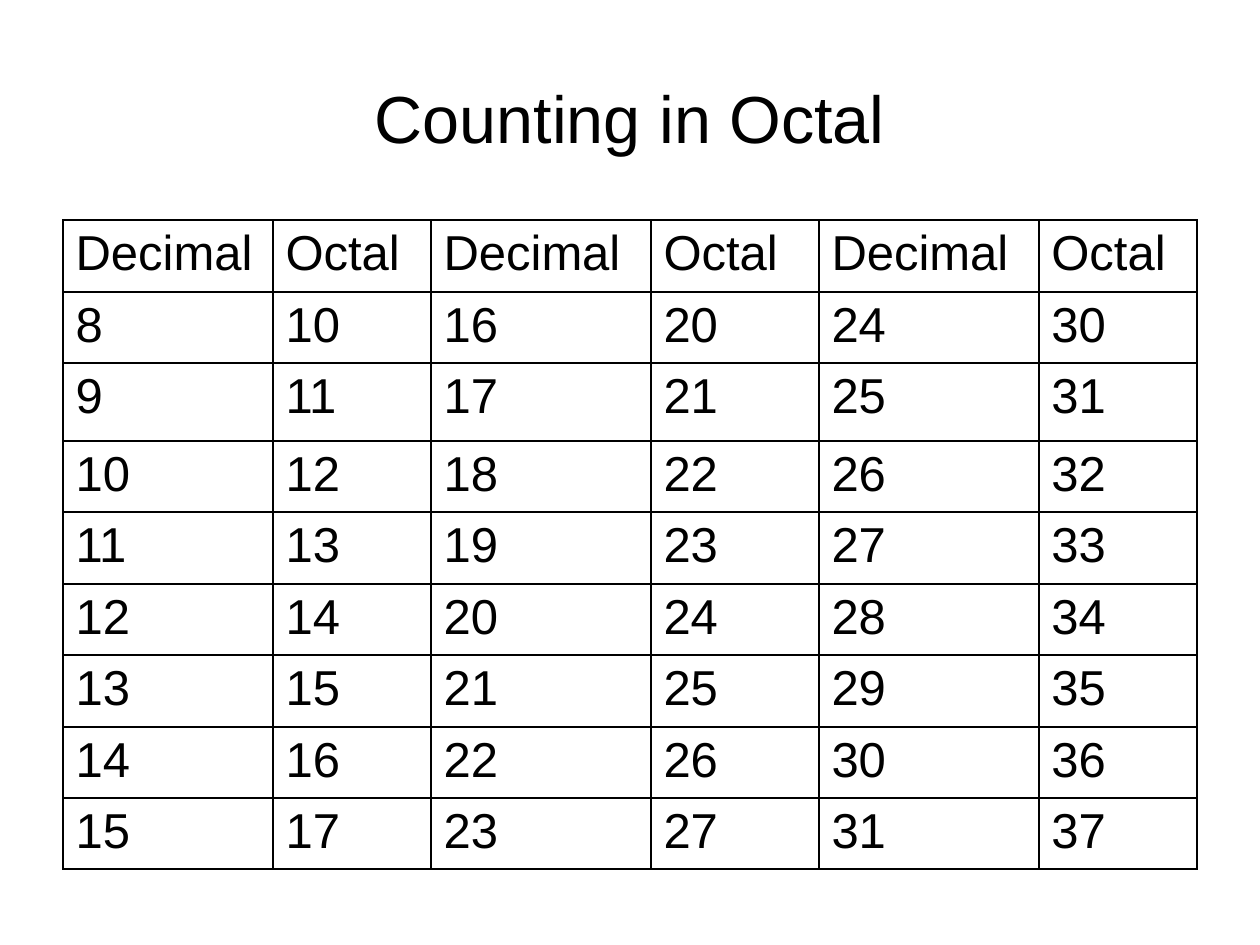
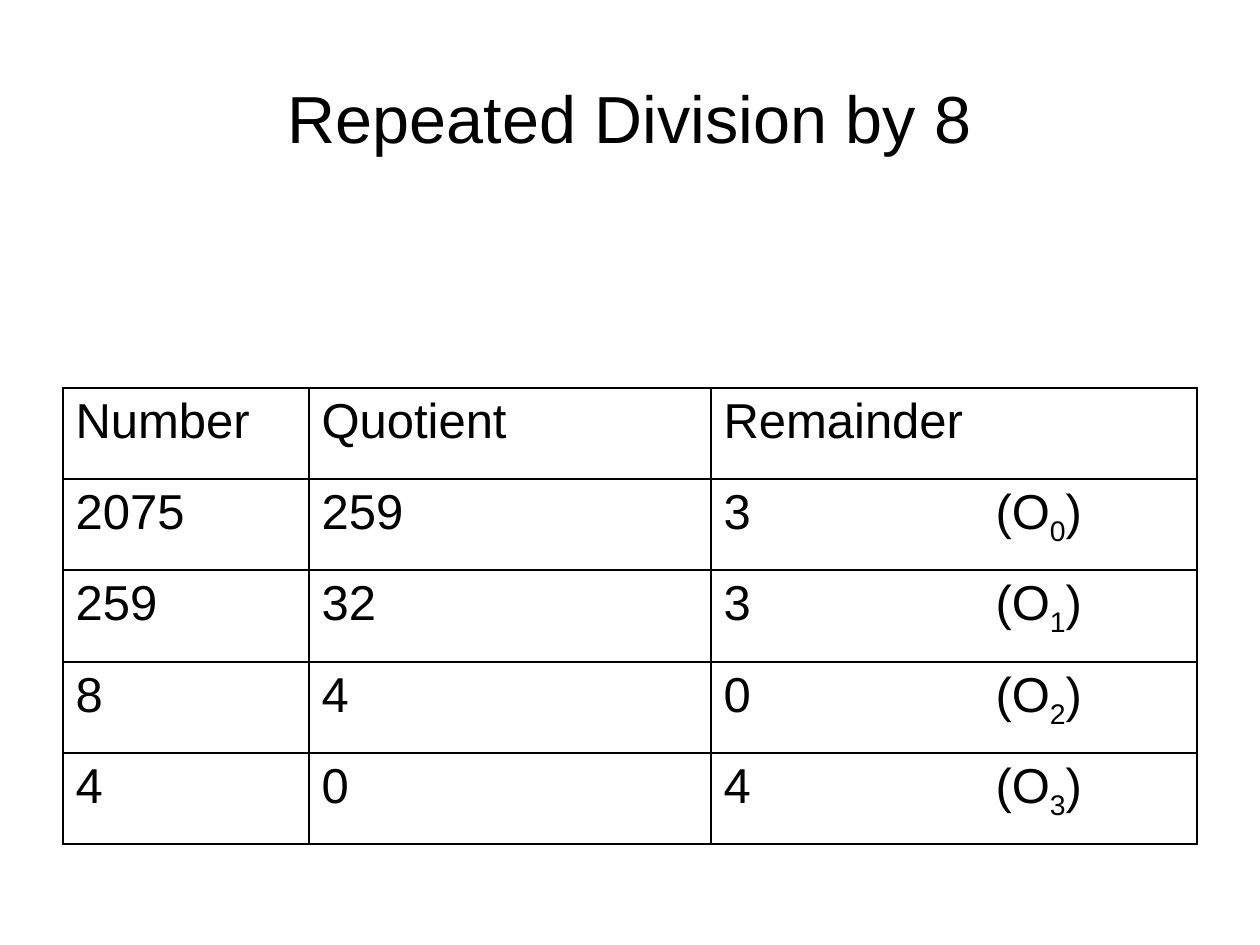
import pptx
import pptx.dml.color
import pptx.enum.text
import pptx.oxml.ns
import pptx.util
import lxml.etree

BLACK = pptx.dml.color.RGBColor(0, 0, 0)
FONT = "Arial"
LEFT = 63
HANGING_INDENT = 48
DIGIT_TAB = 272


def px(length):
    return pptx.util.Emu(round(length * 914400 / 126))


def add_run(paragraph, text, size):
    run = paragraph.add_run()
    run.text = text
    run.font.name = FONT
    run.font.size = pptx.util.Pt(size)
    run.font.bold = False
    run.font.color.rgb = BLACK
    return run


counting_rows = [[["Decimal"], ["Octal"]] * 3]
for first in range(8, 16):
    row = []
    for number in (first, first + 8, first + 16):
        row += [[str(number)], [format(number, "o")]]
    counting_rows.append(row)

division_rows = [[["Number"], ["Quotient"], ["Remainder"]]]
divisions = [("2075", "259", "3"), ("259", "32", "3"), ("8", "4", "0"), ("4", "0", "4")]
for position, (number, quotient, remainder) in enumerate(divisions):
    division_rows.append([[number], [quotient], [remainder + "\t(O", str(position), ")"]])

slides = [
    ("Counting in Octal", 220, [210, 158, 220, 168, 220, 158],
     [72, 71, 78, 71, 72, 71, 72, 71, 71], HANGING_INDENT, counting_rows),
    ("Repeated Division by 8", 388, [246, 402, 486],
     [91, 91, 92, 91, 91], 0, division_rows),
]

presentation = pptx.Presentation()
presentation.slide_width = px(1260)
presentation.slide_height = px(945)

for title_text, top, widths, heights, indent, rows in slides:
    slide = presentation.slides.add_slide(presentation.slide_layouts[5])

    title = slide.shapes.title
    title.left, title.top, title.width, title.height = px(LEFT), px(38), px(1134), px(157)
    title.text_frame.auto_size = pptx.enum.text.MSO_AUTO_SIZE.NONE
    title.text_frame.vertical_anchor = pptx.enum.text.MSO_ANCHOR.MIDDLE
    paragraph = title.text_frame.paragraphs[0]
    paragraph.alignment = pptx.enum.text.PP_ALIGN.CENTER
    add_run(paragraph, title_text, 38)

    table = slide.shapes.add_table(
        len(heights), len(widths), px(LEFT), px(top), px(sum(widths)), px(sum(heights))
    ).table
    table.first_row = False
    table.horz_banding = False
    for column, width in zip(table.columns, widths):
        column.width = px(width)

    for table_row, height, row in zip(table.rows, heights, rows):
        table_row.height = px(height)
        for cell, parts in zip(table_row.cells, row):
            properties = cell._tc.get_or_add_tcPr()
            for side in ("a:lnL", "a:lnR", "a:lnT", "a:lnB"):
                line = lxml.etree.SubElement(properties, pptx.oxml.ns.qn(side), w="12700")
                fill = lxml.etree.SubElement(line, pptx.oxml.ns.qn("a:solidFill"))
                lxml.etree.SubElement(fill, pptx.oxml.ns.qn("a:srgbClr"), val=str(BLACK))
            cell.fill.background()

            paragraph = cell.text_frame.paragraphs[0]
            paragraph.alignment = pptx.enum.text.PP_ALIGN.JUSTIFY
            paragraph_properties = paragraph._p.get_or_add_pPr()
            if indent:
                paragraph_properties.set("marL", str(px(indent)))
                paragraph_properties.set("indent", str(px(-indent)))
            if len(parts) > 1:
                tabs = lxml.etree.SubElement(paragraph_properties, pptx.oxml.ns.qn("a:tabLst"))
                lxml.etree.SubElement(
                    tabs, pptx.oxml.ns.qn("a:tab"), pos=str(px(DIGIT_TAB)), algn="l")
            for index, text in enumerate(parts):
                run = add_run(paragraph, text, 28)
                if index == 1:
                    run._r.get_or_add_rPr().set("baseline", "-25000")

presentation.save("out.pptx")
